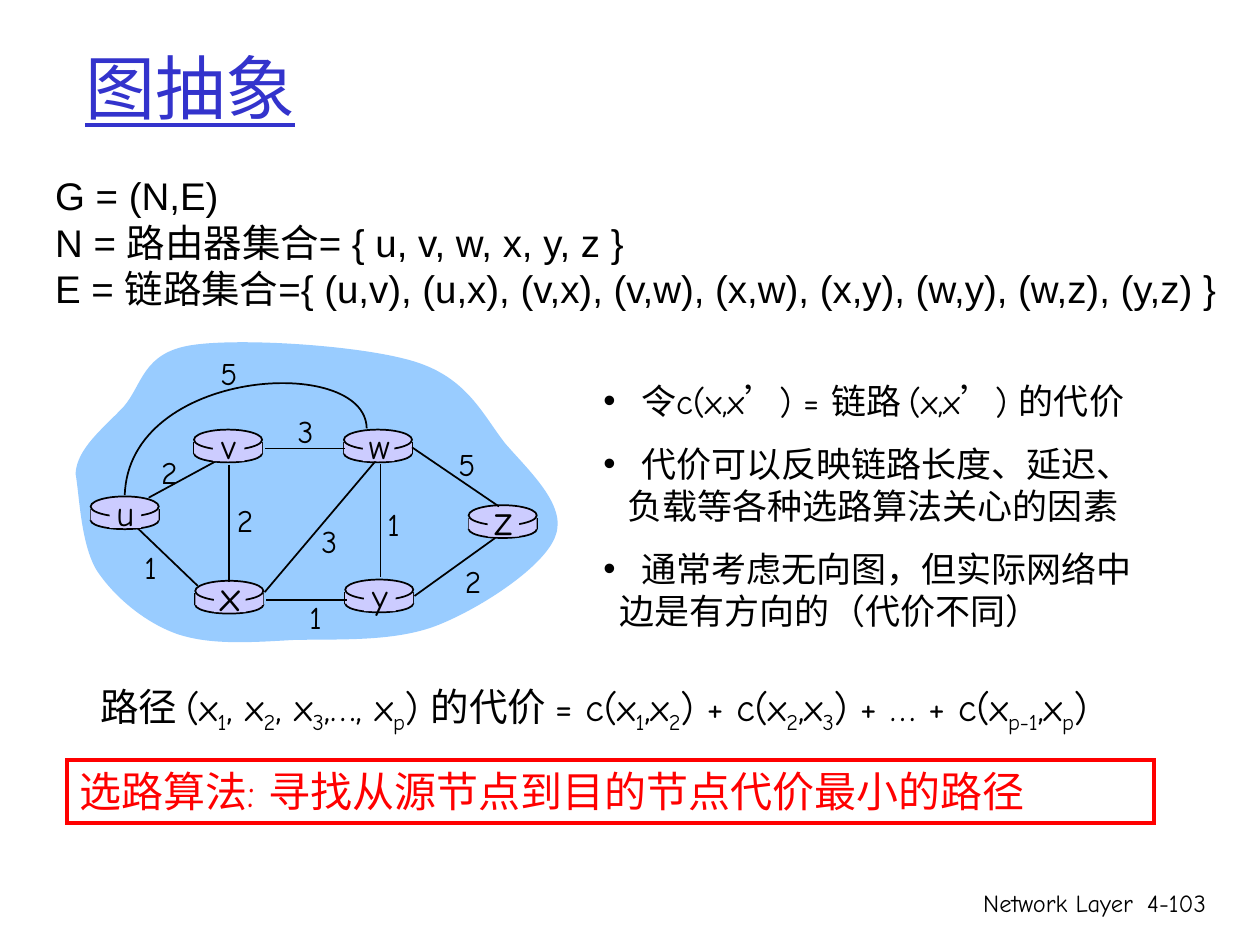
"""Build the graph abstraction slide of a network layer lecture."""
from lxml import etree
from pptx import Presentation
from pptx import util as u
from pptx.dml.color import RGBColor
from pptx.enum import shapes, text
from pptx.oxml import ns

BLACK, LILAC, SKY, BLUE, RED = "000000", "CCCCFF", "99CCFF", "3333CC", "FF0000"
COMIC = "Comic Neue"
LEFT, CENTER, RIGHT = text.PP_ALIGN.LEFT, text.PP_ALIGN.CENTER, text.PP_ALIGN.RIGHT

CLOUD = [
    (0.6, 3.76), (0.61, 3.56), (0.82, 3.4), (0.98, 3.23),
    (1.13, 3.06), (1.13, 2.8), (1.52, 2.74), (1.9, 2.68), (2.87, 2.74), (3.29, 2.87),
    (3.71, 3), (3.83, 3.29), (4.01, 3.52), (4.2, 3.74), (4.5, 4.01), (4.41, 4.25),
    (4.33, 4.49), (3.83, 4.82), (3.48, 4.96), (3.13, 5.1), (2.67, 5.07), (2.32, 5.08),
    (1.98, 5.1), (1.66, 5.12), (1.4, 5.03), (1.15, 4.94), (0.91, 4.74), (0.77, 4.53),
    (0.64, 4.32), (0.63, 3.92), (0.6, 3.76),
]
ARC_UW = [(2.91, 3.4), (2.9, 2.81), (1.02, 2.92), (0.99, 3.93)]

ROUTERS = [
    ("u", 0.72, 3.94, 20), ("x", 1.55, 4.61, 24), ("v", 1.54, 3.41, 20),
    ("w", 2.73, 3.41, 20), ("y", 2.74, 4.6, 20), ("z", 3.72, 4.01, 24),
]
EDGES = [
    ((1.18, 3.95), (1.77, 3.63)), ((3.02, 3.68), (3.02, 4.58)),
    ((1.82, 3.69), (1.82, 4.62)), ((2.1, 4.7), (2.98, 3.66)),
    ((3.29, 4.73), (3.93, 4.27)), ((2.75, 4.76), (2.11, 4.76)),
    ((1.57, 4.65), (1.09, 4.19)), ((2.74, 3.56), (2.1, 3.56)),
    ((3.96, 4.02), (3.27, 3.55)),
]
COSTS = [
    ("2", 1.18, 3.55), ("2", 1.78, 3.93), ("1", 1.03, 4.3), ("3", 2.45, 4.09),
    ("1", 2.34, 4.7), ("1", 2.96, 3.96), ("2", 3.59, 4.41), ("5", 3.54, 3.48),
    ("3", 2.26, 3.22), ("5", 1.65, 2.76),
]
SETS = [
    "G = (N,E)",
    "N = 路由器集合= { u, v, w, x, y, z }",
    "E = 链路集合={ (u,v), (u,x), (v,x), (v,w), (x,w), (x,y), (w,y), (w,z), (y,z) }",
]
NOTES = [
    ("令c(x,x’) = 链路 (x,x’) 的代价", True, 0.3),
    ("代价可以反映链路长度、延迟、", True, 0.3),
    ("负载等各种选路算法关心的因素", False, 0.19),
    ("通常考虑无向图，但实际网络中", True, 0.3),
    ("边是有方向的（代价不同）", False, 0.13),
]
PATH_COST = ("路径 (x|1|, x|2|, x|3|,…, x|p|) 的代价 = "
             "c(x|1|,x|2|) + c(x|2|,x|3|) + … + c(x|p-1|,x|p|)")


def rgb(value):
    """Turn a hex string into a colour."""
    return RGBColor.from_string(value)


def write(p, content, size=20, color=BLACK, font=COMIC, align=LEFT,
          underline=False, bullet=False, indent=0, before=0):
    """Fill a paragraph; pieces between bars become subscripts."""
    pPr = p._p.get_or_add_pPr()
    if indent:
        pPr.set("marL", str(u.Inches(indent)))
    if bullet:
        pPr.set("indent", str(-u.Inches(indent)))
        etree.SubElement(pPr, ns.qn("a:buFont")).set("typeface", "Arial")
        etree.SubElement(pPr, ns.qn("a:buChar")).set("char", "•")
    p.alignment = align
    if before:
        p.space_before = u.Pt(before)
    for i, piece in enumerate(content.split("|")):
        r = p.add_run()
        r.text = piece
        r.font.size, r.font.name = u.Pt(size), font
        r.font.color.rgb = rgb(color)
        if underline:
            r.font.underline = True
        if i % 2:
            r._r.get_or_add_rPr().set("baseline", "-25000")


class Painter:
    """Hold the slide and its line style."""

    def __init__(self, slide, line=BLACK, width=1):
        """Keep the slide and the default line."""
        self.s, self.line, self.width = slide, line, width

    def style(self, sp, fill=None, line=None, width=None):
        """Set fill, line and shadow of a shape."""
        sp.shadow.inherit = False
        if fill:
            sp.fill.solid()
            sp.fill.fore_color.rgb = rgb(fill)
        else:
            sp.fill.background()
        if line:
            sp.line.color.rgb = rgb(line)
            sp.line.width = u.Pt(width or self.width)
            etree.SubElement(sp.line._get_or_add_ln(), ns.qn("a:miter")).set("lim", "800000")
        else:
            sp.line.fill.background()
        return sp

    def shape(self, kind, x, y, w, h, **look):
        """Add a preset shape."""
        return self.style(self.s.shapes.add_shape(kind, *map(u.Inches, (x, y, w, h))), **look)

    def curve(self, points, close, **look):
        """Add a freeform whose points form a chain of cubic curves."""
        dots = [(u.Inches(x), u.Inches(y)) for x, y in points]
        builder = self.s.shapes.build_freeform(*dots[0])
        builder.add_line_segments(dots[1:], close=close)
        sp = builder.convert_to_shape()
        segments = list(sp._element.iter(ns.qn("a:lnTo")))
        for k in range(0, len(dots) - 1, 3):
            cubic = etree.Element(ns.qn("a:cubicBezTo"))
            segments[k].addprevious(cubic)
            for segment in segments[k:k + 3]:
                cubic.append(segment[0])
        for segment in segments:
            segment.getparent().remove(segment)
        return self.style(sp, **look)

    def edge(self, start, end):
        """Add a straight line."""
        c = self.s.shapes.add_connector(shapes.MSO_CONNECTOR.STRAIGHT,
                                        *map(u.Inches, (*start, *end)))
        c.line.color.rgb, c.line.width = rgb(self.line), u.Pt(self.width)
        etree.SubElement(c._element.spPr, ns.qn("a:effectLst"))

    def label(self, content, x, y, w, h, wrap=True, anchor=text.MSO_ANCHOR.TOP, **look):
        """Add a text box with one paragraph and return its frame."""
        tf = self.s.shapes.add_textbox(*map(u.Inches, (x, y, w, h))).text_frame
        tf.word_wrap, tf.vertical_anchor = wrap, anchor
        write(tf.paragraphs[0], content, **look)
        return tf

    def router(self, x, y):
        """Draw a flat cylinder."""
        oval, rect = shapes.MSO_SHAPE.OVAL, shapes.MSO_SHAPE.RECTANGLE
        self.shape(oval, x, y + 0.12, 0.54, 0.14, fill=LILAC, line=self.line)
        for side in (x, x + 0.54):
            self.edge((side, y + 0.1), (side, y + 0.19))
        self.shape(rect, x, y + 0.1, 0.54, 0.09, fill=LILAC)
        self.shape(oval, x, y, 0.54, 0.16, fill=LILAC, line=self.line)

    def router_name(self, name, x, y, size):
        """Put a name on a router."""
        self.shape(shapes.MSO_SHAPE.RECTANGLE, x + 0.15, y + 0.02, 0.25, 0.23, fill=LILAC)
        top, height = (y - 0.09, 0.44) if size == 20 else (y - 0.14, 0.5)
        self.label(name, x + 0.1, top, 0.35, height, wrap=False, size=size, align=CENTER)


def main():
    """Build and save the slide."""
    prs = Presentation()
    prs.slide_width, prs.slide_height = u.Inches(10), u.Inches(7.5)
    d = Painter(prs.slides.add_slide(prs.slide_layouts[6]))

    d.label("Network Layer", 5.92, 7, 3.17, 0.5, size=14, align=RIGHT)
    d.label("4-103", 8.93, 7, 0.74, 0.5, size=14, align=RIGHT)
    d.label("图抽象", 0.58, 0.18, 8.5, 1.01, anchor=text.MSO_ANCHOR.MIDDLE,
            size=40, color=BLUE, underline=True)

    d.curve(CLOUD, True, fill=SKY)
    for _, x, y, _ in ROUTERS:
        d.router(x, y)
    for start, end in EDGES:
        d.edge(start, end)
    d.curve(ARC_UW, False, line=BLACK)
    for router in ROUTERS:
        d.router_name(*router)
    for cost, x, y in COSTS:
        d.label(cost, x, y, 0.33, 0.4, wrap=False, size=18, align=CENTER)

    first, *rest = NOTES
    tf = d.label(first[0], 4.69, 2.96, 4.98, 2.44, bullet=first[1], indent=first[2])
    for note, bullet, indent in rest:
        write(tf.add_paragraph(), note, bullet=bullet, indent=indent,
              before=12 if bullet else 0)

    d.label(PATH_COST, 0.7, 5.37, 8.45, 0.52, wrap=False, size=22)
    sp = d.shape(shapes.MSO_SHAPE.RECTANGLE, 0.53, 6.03, 8.63, 0.5, line=RED, width=2.25)
    sp.text_frame.word_wrap = True
    sp.text_frame.vertical_anchor = text.MSO_ANCHOR.TOP
    write(sp.text_frame.paragraphs[0], "选路算法: 寻找从源节点到目的节点代价最小的路径",
          size=24, color=RED)

    tf = d.label(SETS[0], 0.34, 1.32, 9.44, 1.57, size=22, font="Arial")
    for line in SETS[1:]:
        write(tf.add_paragraph(), line, size=22, font="Arial")

    prs.save("out.pptx")


if __name__ == "__main__":
    main()
